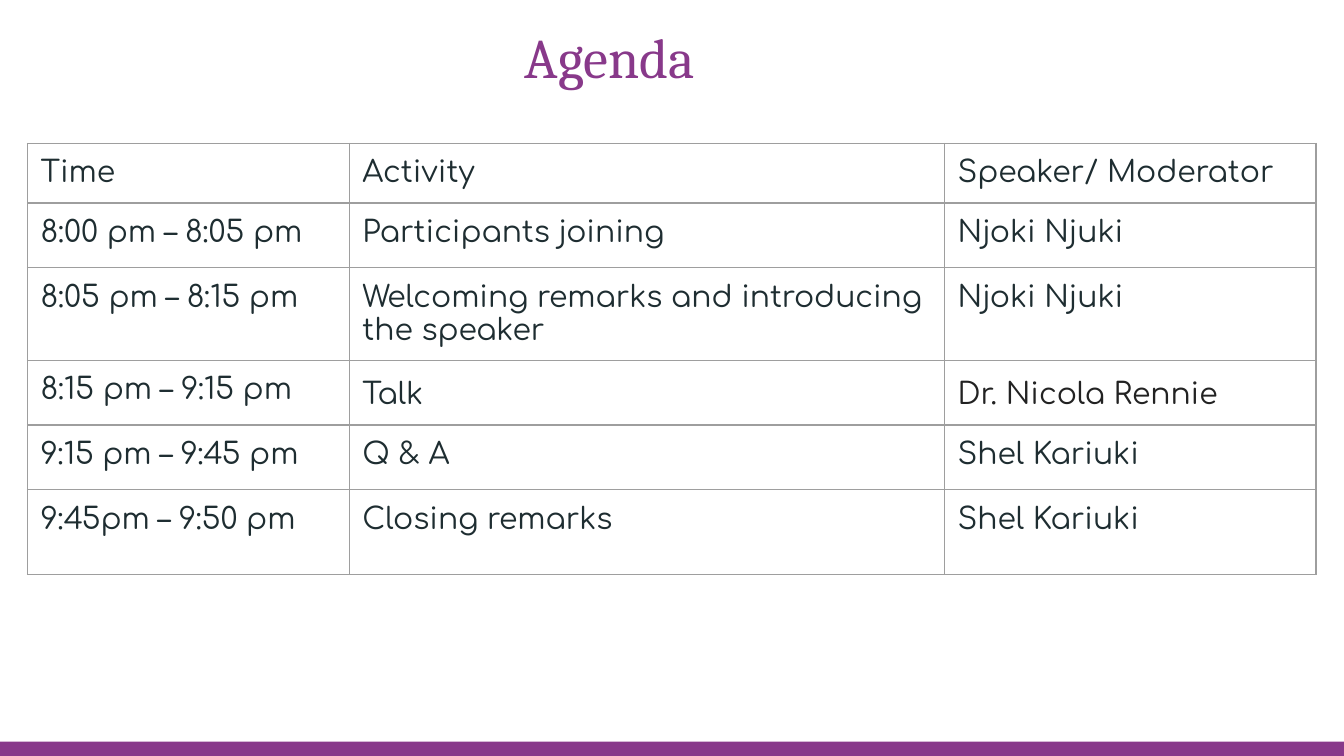
import dataclasses

import lxml.etree
import pptx
import pptx.dml.color
import pptx.enum.shapes
import pptx.enum.text
import pptx.oxml.ns
import pptx.util

Cm = pptx.util.Cm
Pt = pptx.util.Pt
INSET = Cm(0.25)


@dataclasses.dataclass(frozen=True)
class Theme:
    accent: str = "88398A"
    ink: str = "1E2D31"
    speaker_ink: str = "222222"
    paper: str = "FFFFFF"
    grid: str = "9E9E9E"
    grid_width: float = 0.75
    title_font: str = "Cambria"
    body_font: str = "Comfortaa"
    title_size: int = 30
    body_size: int = 16


def rgb(code):
    return pptx.dml.color.RGBColor.from_string(code)


def write_text(frame, text, *, font, size, color, align=None, spacing=None,
               anchor=pptx.enum.text.MSO_ANCHOR.TOP):
    frame.word_wrap = True
    frame.vertical_anchor = anchor
    paragraph = frame.paragraphs[0]
    paragraph.alignment = align
    paragraph.line_spacing = spacing
    run = paragraph.add_run()
    run.text = text
    run.font.name = font
    run.font.size = Pt(size)
    run.font.color.rgb = rgb(color)


def set_insets(holder):
    for side in ("left", "right", "top", "bottom"):
        setattr(holder, f"margin_{side}", INSET)


def outline_cell(cell, color, width):
    properties = cell._tc.get_or_add_tcPr()
    qn = pptx.oxml.ns.qn
    for position, edge in enumerate(("a:lnL", "a:lnR", "a:lnT", "a:lnB")):
        line = lxml.etree.Element(qn(edge), w=str(Pt(width)))
        fill = lxml.etree.SubElement(line, qn("a:solidFill"))
        lxml.etree.SubElement(fill, qn("a:srgbClr"), val=color)
        properties.insert(position, line)


class AgendaSlide:
    def __init__(self, presentation, theme):
        self.theme = theme
        self.slide = presentation.slides.add_slide(presentation.slide_layouts[6])
        background = self.slide.background.fill
        background.solid()
        background.fore_color.rgb = rgb(theme.paper)

    def bar(self, left, top, width, height):
        bar = self.slide.shapes.add_shape(
            pptx.enum.shapes.MSO_SHAPE.RECTANGLE, left, top, width, height)
        bar.shadow.inherit = False
        bar.fill.solid()
        bar.fill.fore_color.rgb = rgb(self.theme.accent)
        bar.line.fill.background()

    def title(self, text, left, top, width, height):
        frame = self.slide.shapes.add_textbox(left, top, width, height).text_frame
        set_insets(frame)
        write_text(frame, text, font=self.theme.title_font,
                   size=self.theme.title_size, color=self.theme.accent,
                   align=pptx.enum.text.PP_ALIGN.CENTER,
                   anchor=pptx.enum.text.MSO_ANCHOR.MIDDLE)

    def table(self, rows, left, top, widths, heights, formats):
        """Draw rows of text; formats maps (row, column) to text overrides."""
        table = self.slide.shapes.add_table(
            len(rows), len(widths), left, top, sum(widths), sum(heights)).table
        table.first_row = table.horz_banding = False
        for column, width in zip(table.columns, widths):
            column.width = width
        for r, (entries, height) in enumerate(zip(rows, heights)):
            table.rows[r].height = height
            for c, entry in enumerate(entries):
                cell = table.cell(r, c)
                cell.fill.background()
                set_insets(cell)
                outline_cell(cell, self.theme.grid, self.theme.grid_width)
                style = {"font": self.theme.body_font,
                         "size": self.theme.body_size,
                         "color": self.theme.ink} | formats.get((r, c), {})
                write_text(cell.text_frame, entry, **style)


AGENDA = [
    ("Time", "Activity", "Speaker/ Moderator"),
    ("8:00 pm – 8:05 pm", "Participants joining", "Njoki Njuki"),
    ("8:05 pm – 8:15 pm", "Welcoming remarks and introducing the speaker",
     "Njoki Njuki"),
    ("8:15 pm – 9:15 pm", "Talk", "Dr. Nicola Rennie"),
    ("9:15 pm – 9:45 pm", "Q & A", "Shel Kariuki"),
    ("9:45pm – 9:50 pm", "Closing remarks", "Shel Kariuki"),
]


def main():
    theme = Theme()
    presentation = pptx.Presentation()
    presentation.slide_width = Cm(25.4)
    presentation.slide_height = Cm(14.29)
    agenda = AgendaSlide(presentation, theme)
    agenda.bar(0, Cm(14.02), presentation.slide_width, Cm(0.27))
    agenda.table(
        AGENDA, Cm(0.52), Cm(2.71),
        widths=[Cm(w) for w in (6.08, 11.25, 7.02)],
        heights=[Cm(h) for h in (1.09, 1.22, 1.6, 1.22, 1.22, 1.6)],
        formats={(3, 1): {"spacing": 1.15},
                 (3, 2): {"spacing": 1.15, "color": theme.speaker_ink}})
    agenda.title("Agenda", Cm(2.84), Cm(0.41), Cm(17.37), Cm(1.3))
    presentation.save("out.pptx")


if __name__ == "__main__":
    main()
